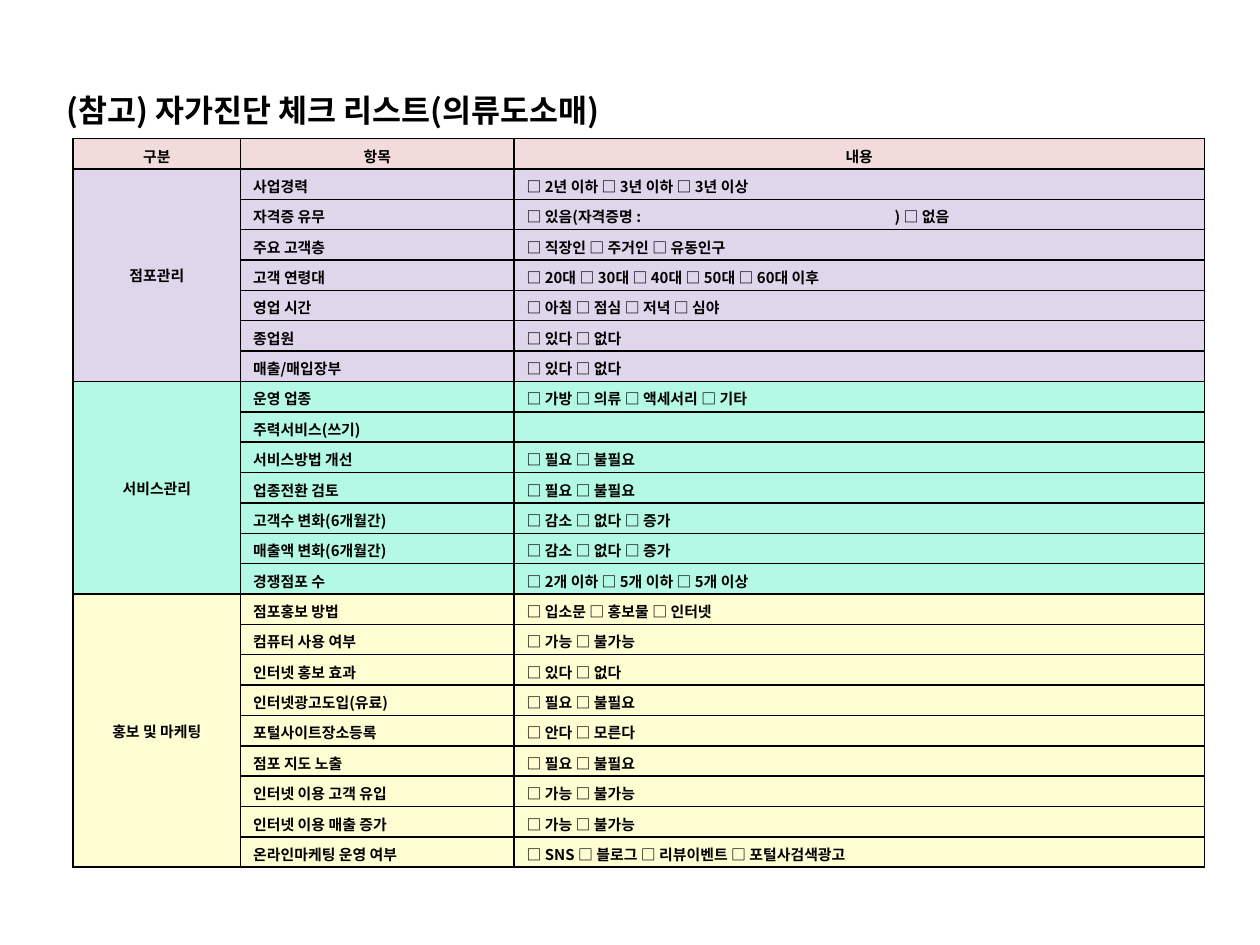
from dataclasses import dataclass

from lxml import etree
from pptx import Presentation
from pptx import util as u
from pptx.dml.color import RGBColor
from pptx.enum import text as t
from pptx.oxml import ns


@dataclass(frozen=True)
class Theme:
    """Colours, font and type sizes of the slide."""
    font: str = "Noto Sans CJK KR"
    ink: str = "000000"
    head: str = "F1DCDB"
    shop: str = "E0D6EC"
    service: str = "B4F9E3"
    promo: str = "FFFDD2"
    title: float = 18
    body: float = 8.5
    line: float = 1


LOOK = Theme()
HEADS = ["구분", "항목", "내용"]
COLS = [1.33, 2.17, 5.48]
TABLE = (0.58, 1.1, 8.98, 5.79)
STOP = 2.92
GROUPS = [
    ("점포관리", LOOK.shop, [
        ("사업경력", "□ 2년 이하 □ 3년 이하 □ 3년 이상"),
        ("자격증 유무", "□ 있음(자격증명 :\t) □ 없음"),
        ("주요 고객층", "□ 직장인 □ 주거인 □ 유동인구"),
        ("고객 연령대", "□ 20대 □ 30대 □ 40대 □ 50대 □ 60대 이후"),
        ("영업 시간", "□ 아침 □ 점심 □ 저녁 □ 심야"),
        ("종업원", "□ 있다 □ 없다"),
        ("매출/매입장부", "□ 있다 □ 없다"),
    ]),
    ("서비스관리", LOOK.service, [
        ("운영 업종", "□ 가방 □ 의류 □ 액세서리 □ 기타"),
        ("주력서비스(쓰기)", ""),
        ("서비스방법 개선", "□ 필요 □ 불필요"),
        ("업종전환 검토", "□ 필요 □ 불필요"),
        ("고객수 변화(6개월간)", "□ 감소 □ 없다 □ 증가"),
        ("매출액 변화(6개월간)", "□ 감소 □ 없다 □ 증가"),
        ("경쟁점포 수", "□ 2개 이하 □ 5개 이하 □ 5개 이상"),
    ]),
    ("홍보 및 마케팅", LOOK.promo, [
        ("점포홍보 방법", "□ 입소문 □ 홍보물 □ 인터넷"),
        ("컴퓨터 사용 여부", "□ 가능 □ 불가능"),
        ("인터넷 홍보 효과", "□ 있다 □ 없다"),
        ("인터넷광고도입(유료)", "□ 필요 □ 불필요"),
        ("포털사이트장소등록", "□ 안다 □ 모른다"),
        ("점포 지도 노출", "□ 필요 □ 불필요"),
        ("인터넷 이용 고객 유입", "□ 가능 □ 불가능"),
        ("인터넷 이용 매출 증가", "□ 가능 □ 불가능"),
        ("온라인마케팅 운영 여부", "□ SNS □ 블로그 □ 리뷰이벤트 □ 포털사검색광고"),
    ]),
]


def add_tag(node, name, **attrs):
    """Append a drawing element to a node."""
    return etree.SubElement(node, ns.qn(name), **attrs)


def write(frame, words, size):
    """Fill a text frame with one bold paragraph."""
    frame.text = words
    para = frame.paragraphs[0]
    for run in para.runs:
        run.font.name = LOOK.font
        run.font.size = u.Pt(size)
        run.font.bold = True
        run.font.color.rgb = RGBColor.from_string(LOOK.ink)
        add_tag(run.font._element, "a:ea", typeface=LOOK.font)
    if not words:
        add_tag(para._p, "a:endParaRPr", sz=str(int(size * 100)))
    return para


def add_stop(para):
    """Set the left tab stop of a paragraph."""
    tabs = add_tag(para._p.get_or_add_pPr(), "a:tabLst")
    add_tag(tabs, "a:tab", pos=str(u.Inches(STOP)), algn="l")


def add_edges(cell):
    """Draw a solid line on all four sides of a cell."""
    props = cell._tc.get_or_add_tcPr()
    for side in ("a:lnL", "a:lnR", "a:lnT", "a:lnB"):
        line = add_tag(props, side, w=str(u.Pt(LOOK.line)))
        add_tag(add_tag(line, "a:solidFill"), "a:srgbClr", val=LOOK.ink)


def fill_cell(cell, words, shade, mid=False, left=0, top=0.05):
    """Write, border and colour one table cell."""
    cell.margin_left, cell.margin_top = u.Inches(left), u.Inches(top)
    cell.margin_right = cell.margin_bottom = 0
    para = write(cell.text_frame, words, LOOK.body)
    if mid:
        para.alignment = t.PP_ALIGN.CENTER
    if "\t" in words:
        add_stop(para)
    add_edges(cell)
    cell.fill.solid()
    cell.fill.fore_color.rgb = RGBColor.from_string(shade)


def add_group(table, first, name, shade, items):
    """Fill the rows of one group and merge its label cells."""
    for row, pair in enumerate(items, first):
        label = name if row == first else ""
        fill_cell(table.cell(row, 0), label, shade, mid=True, top=0)
        for col, words in enumerate(pair, 1):
            fill_cell(table.cell(row, col), words, shade, left=0.1)
    lead = table.cell(first, 0)
    lead.merge(table.cell(first + len(items) - 1, 0))
    lead.vertical_anchor = t.MSO_ANCHOR.MIDDLE


def add_list(slide):
    """Add the checklist table."""
    count = 1 + sum(len(items) for _, _, items in GROUPS)
    place = [u.Inches(n) for n in TABLE]
    table = slide.shapes.add_table(count, len(COLS), *place).table
    table.first_row = table.horz_banding = False
    for col, width in zip(table.columns, COLS):
        col.width = u.Inches(width)
    for col, words in enumerate(HEADS):
        fill_cell(table.cell(0, col), words, LOOK.head, mid=True)
    first = 1
    for name, shade, items in GROUPS:
        add_group(table, first, name, shade, items)
        first += len(items)


def add_title(slide, words):
    """Add the slide title."""
    place = [u.Inches(n) for n in (0.52, 0.71, 4.65, 0.33)]
    frame = slide.shapes.add_textbox(*place).text_frame
    frame.word_wrap = True
    frame.margin_left = frame.margin_top = u.Inches(0.01)
    frame.margin_right = frame.margin_bottom = 0
    write(frame, words, LOOK.title)


def main():
    """Build and save the slide."""
    deck = Presentation()
    deck.slide_width, deck.slide_height = u.Inches(10), u.Inches(7.5)
    slide = deck.slides.add_slide(deck.slide_layouts[6])
    add_title(slide, "(참고) 자가진단 체크 리스트(의류도소매)")
    add_list(slide)
    deck.save("out.pptx")


if __name__ == "__main__":
    main()
